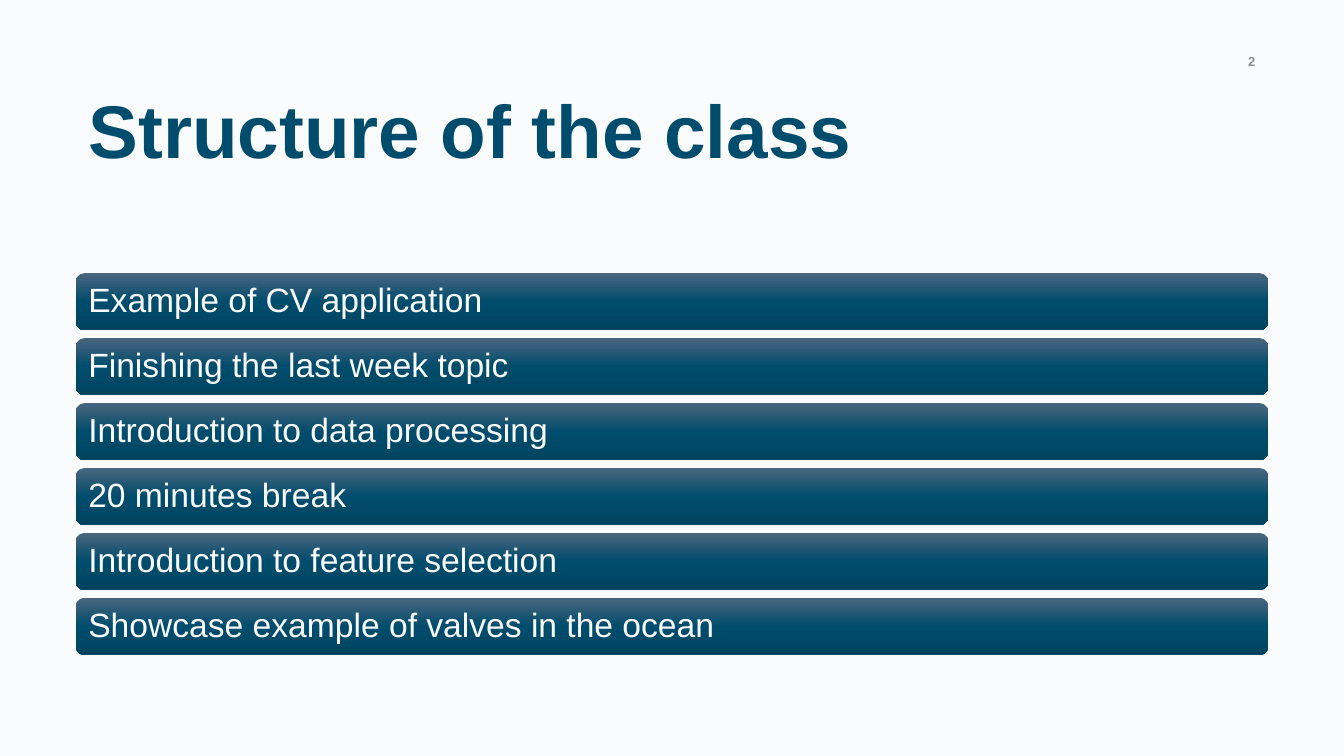
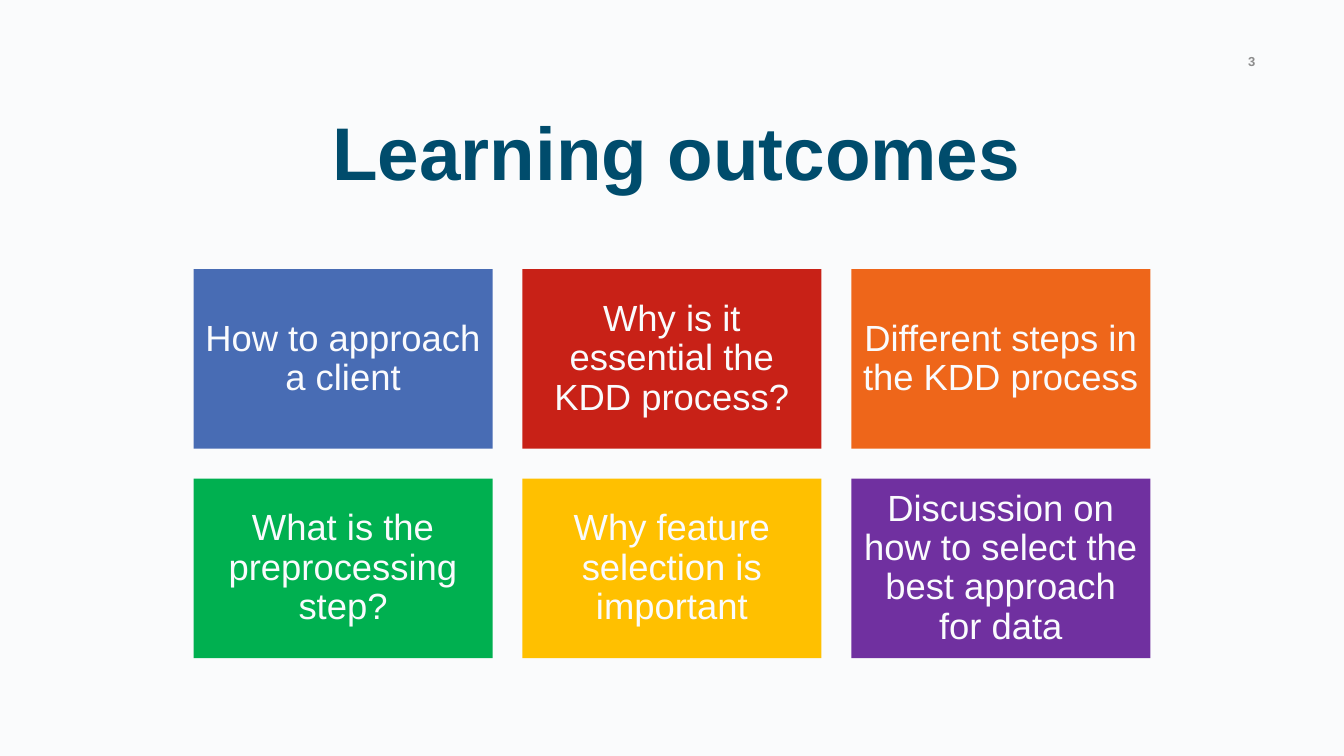
import copy
import dataclasses

import pptx
import pptx.dml.color
import pptx.enum.shapes
import pptx.enum.text
import pptx.util

Align = pptx.enum.text.PP_ALIGN
Shape = pptx.enum.shapes.MSO_SHAPE
COLS, ROWS = 160, 90


@dataclasses.dataclass(frozen=True)
class Theme:
    face: str = "Arial"
    back: str = "FAFBFC"
    head: str = "004C6C"
    pale: str = "FAFBFD"
    gray: str = "8C8C8C"
    fade: tuple = ("4B667E", "004C6C", "004460")
    tiles: tuple = ("486CB4", "C82117", "EE661A", "00B050", "FFC000", "7030A0")
    title: float = 53.3
    page: float = 9.3
    bar: float = 24
    tile: float = 26
    lead: float = 0.9


def rgb(code):
    return pptx.dml.color.RGBColor.from_string(code)


def split(area, cols, rows, gap):
    left, top, wide, high = area
    cell_w = (wide - gap * (cols - 1)) / cols
    cell_h = (high - gap * (rows - 1)) / rows
    return [
        (left + col * (cell_w + gap), top + row * (cell_h + gap), cell_w, cell_h)
        for row in range(rows)
        for col in range(cols)
    ]


class Deck:
    def __init__(self, theme):
        self.theme = theme
        self.show = pptx.Presentation()
        self.show.slide_width = pptx.util.Inches(13.33)
        self.show.slide_height = pptx.util.Inches(7.5)
        fill = self.show.slide_master.background.fill
        fill.solid()
        fill.fore_color.rgb = rgb(theme.back)
        self.slide = None

    def place(self, area):
        wide, high = self.show.slide_width, self.show.slide_height
        units = (wide / COLS, high / ROWS) * 2
        return [round(part * unit) for part, unit in zip(area, units)]

    def label(self, shape, text, size, color, pad, align=Align.LEFT, bold=False):
        frame = shape.text_frame
        frame.text = text
        frame.word_wrap = True
        frame.auto_size = pptx.enum.text.MSO_AUTO_SIZE.NONE
        frame.vertical_anchor = pptx.enum.text.MSO_ANCHOR.MIDDLE
        side, edge = map(pptx.util.Inches, pad)
        frame.margin_left = frame.margin_right = side
        frame.margin_top = frame.margin_bottom = edge
        para = frame.paragraphs[0]
        para.alignment = align
        para.line_spacing = self.theme.lead
        font = para.font
        font.name = self.theme.face
        font.size = pptx.util.Pt(size)
        font.bold = bold
        font.color.rgb = rgb(color)

    def start(self, title, area, page):
        theme, pad = self.theme, (0.13, 0.07)
        self.slide = self.show.slides.add_slide(self.show.slide_layouts[5])
        head = self.slide.shapes.title
        head.left, head.top, head.width, head.height = self.place(area)
        self.label(head, title, theme.title, theme.head, pad, bold=True)
        box = self.slide.shapes.add_textbox(*self.place((115, 5, 36, 4.8)))
        self.label(box, page, theme.page, theme.gray, pad, Align.RIGHT, True)

    def panel(self, kind, area):
        shape = self.slide.shapes.add_shape(kind, *self.place(area))
        shape.shadow.inherit = False
        shape.line.fill.background()
        return shape

    def bar(self, area, text):
        theme = self.theme
        shape = self.panel(Shape.ROUNDED_RECTANGLE, area)
        fill = shape.fill
        fill.gradient()
        fill.gradient_angle = 270
        stops = shape.element.spPr.find(".//" + pptx.oxml.ns.qn("a:gsLst"))
        stops.append(copy.deepcopy(stops[-1]))
        for stop, code, spot in zip(fill.gradient_stops, theme.fade, (0, 0.5, 1)):
            stop.color.rgb = rgb(code)
            stop.position = spot
        self.label(shape, text, theme.bar, theme.pale, (0.1, 0.1))

    def tile(self, area, text, color):
        theme = self.theme
        shape = self.panel(Shape.RECTANGLE, area)
        shape.fill.solid()
        shape.fill.fore_color.rgb = rgb(color)
        self.label(shape, text, theme.tile, theme.pale, (0.11, 0.11), Align.CENTER)


def main():
    theme = Theme()
    deck = Deck(theme)

    deck.start("Structure of the class", (9, 7.5, 113, 17), "2")
    topics = (
        "Example of CV application",
        "Finishing the last week topic",
        "Introduction to data processing",
        "20 minutes break",
        "Introduction to feature selection",
        "Showcase example of valves in the ocean",
    )
    for area, text in zip(split((9, 32.5, 142, 45.5), 1, 6, 0.89), topics):
        deck.bar(area, text)

    deck.start("Learning outcomes", (38, 10.1, 113, 17), "3")
    goals = (
        "How to approach a client",
        "Why is it essential the KDD process?",
        "Different steps in the KDD process",
        "What is the preprocessing step?",
        "Why feature selection is important",
        "Discussion on how to select the best approach for data",
    )
    cells = split((23.05, 32.05, 113.9, 46.3), 3, 2, 3.56)
    for area, text, color in zip(cells, goals, theme.tiles):
        deck.tile(area, text, color)

    deck.show.save("out.pptx")


if __name__ == "__main__":
    main()
